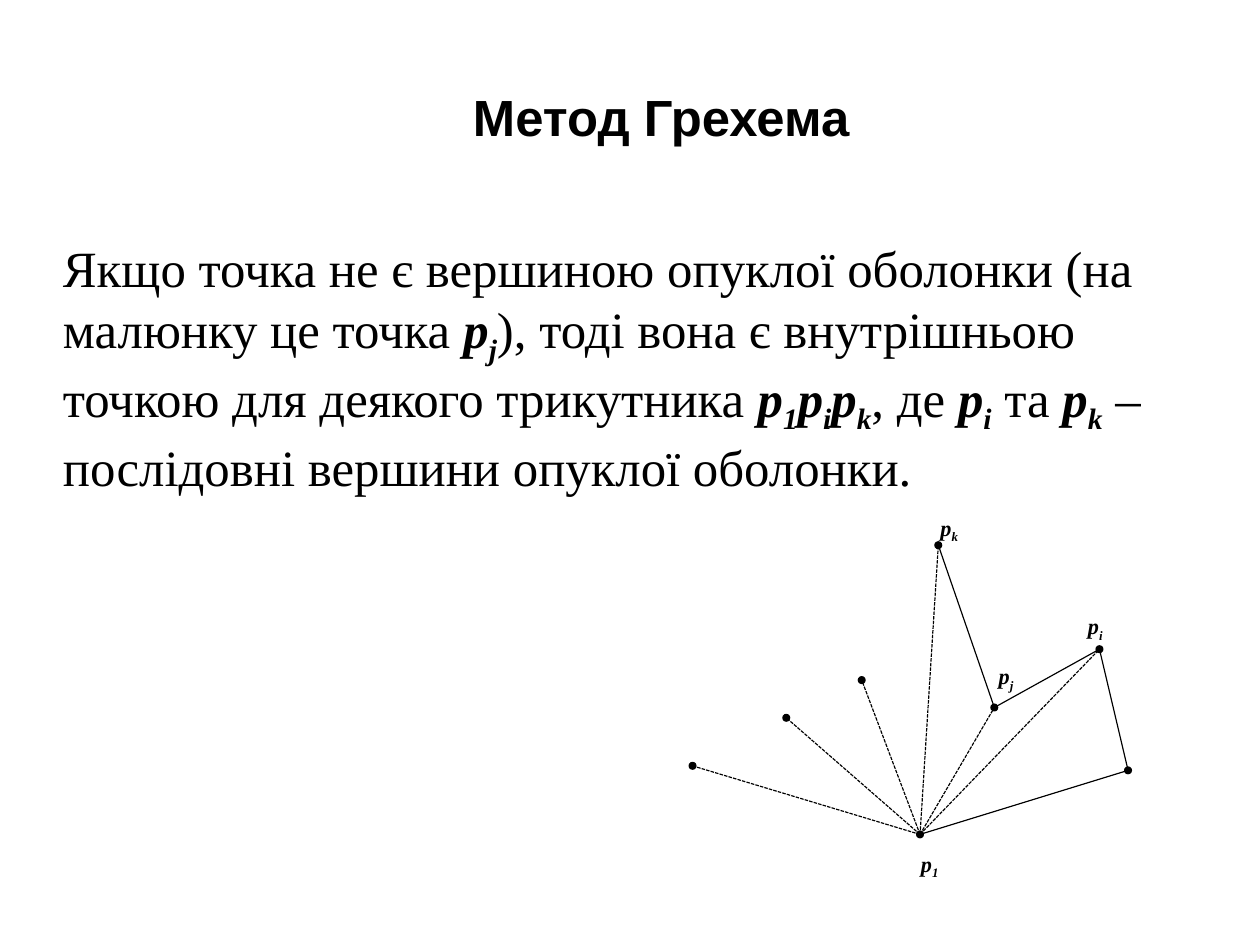
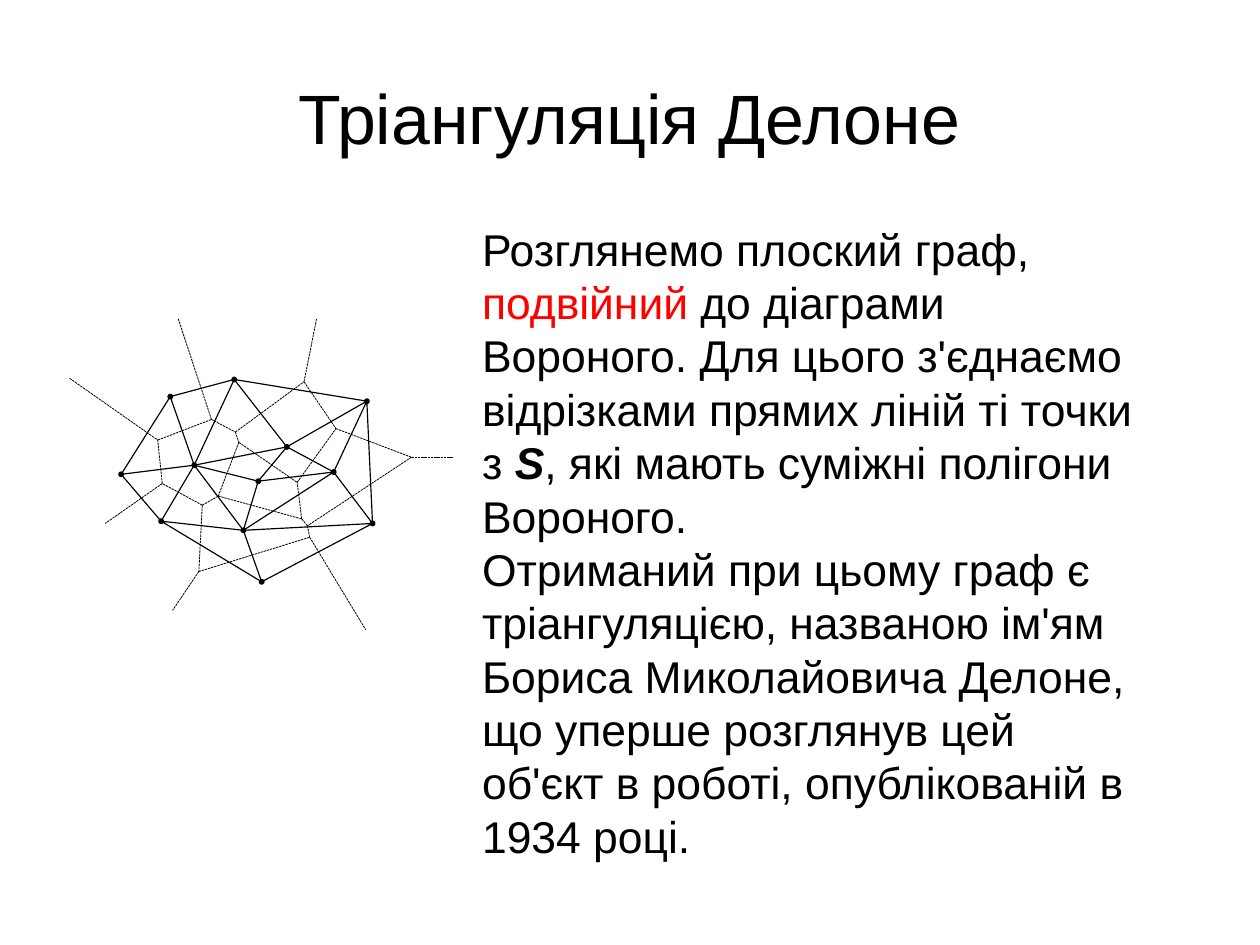
from dataclasses import dataclass
from itertools import pairwise

from lxml.etree import SubElement
from pptx import Presentation
from pptx.dml.color import RGBColor as RGB
from pptx.enum.dml import MSO_LINE_DASH_STYLE as Dash
from pptx.enum.shapes import MSO_CONNECTOR as Link, MSO_SHAPE as Shape
from pptx.enum.text import MSO_ANCHOR as Anchor, PP_ALIGN as Align
from pptx.oxml.ns import qn
from pptx.util import Emu, Pt

PX = 9144  # EMU per px, 100 px to the inch
PAGE = Emu(10080625), Emu(7559675)  # 28 by 21 cm page


@dataclass(frozen=True)
class Theme:
    ink: RGB = RGB(0, 0, 0)
    accent: RGB = RGB(255, 0, 0)
    sans: str = "Arial"
    serif: str = "Times New Roman"
    title: int = 44
    heading: int = 32
    body: int = 28
    label: int = 14
    stroke: float = 0.75
    hairline: float = 0.5


THEME = Theme()
VARIABLE = {"bold": True, "italic": True}


class Deck:
    """Holds the style and the current slide."""

    def __init__(self, page, theme):
        self.theme = theme
        self.show = Presentation()
        self.show.slide_width, self.show.slide_height = page

    def new_slide(self):
        self.slide = self.show.slides.add_slide(self.show.slide_layouts[6])

    def text(self, box, paragraphs, size, face, anchor=Anchor.TOP,
             align=Align.LEFT, insets=(10, 5)):
        """Each run is (text, format values, baseline shift in percent)."""
        frame = self.slide.shapes.add_textbox(*(v * PX for v in box)).text_frame
        across, down = (v * PX for v in insets)
        layout = {"word_wrap": True, "vertical_anchor": anchor,
                  "margin_left": across, "margin_right": across,
                  "margin_top": down, "margin_bottom": down}
        for key, value in layout.items():
            setattr(frame, key, value)
        for number, runs in enumerate(paragraphs):
            para = frame.add_paragraph() if number else frame.paragraphs[0]
            para.alignment = align
            for words, changes, shift in runs:
                run = para.add_run()
                run.text = words
                values = {"size": Pt(size), "name": face, **changes}
                run.font.color.rgb = values.pop("color", self.theme.ink)
                for key, value in values.items():
                    setattr(run.font, key, value)
                if shift:
                    run._r.get_or_add_rPr().set("baseline", str(shift * 1000))
        return frame

    def title(self, words, box, size, **changes):
        return self.text(box, [[(words, changes, 0)]], size, self.theme.sans,
                         Anchor.MIDDLE, Align.CENTER, (0, 0))

    def stroke(self, line, width):
        line.color.rgb = self.theme.ink
        line.width = Pt(width)

    def dot(self, center, size):
        x, y = center
        corner = (x - size // 2, y - size // 2)
        dot = self.slide.shapes.add_shape(
            Shape.OVAL, *(v * PX for v in (*corner, size, size)))
        dot.shadow.inherit = False
        dot.fill.solid()
        dot.fill.fore_color.rgb = self.theme.ink
        self.stroke(dot.line, self.theme.stroke)

    def line(self, start, end, width, dash=None):
        line = self.slide.shapes.add_connector(
            Link.STRAIGHT, *(v * PX for v in (*start, *end)))
        self.stroke(line.line, width)
        if dash:
            line.line.dash_style = dash
        SubElement(line._element.spPr, qn("a:effectLst"))

    def polyline(self, points):
        builder = self.slide.shapes.build_freeform(*points[0], scale=PX)
        builder.add_line_segments(points[1:], close=False)
        outline = builder.convert_to_shape()
        outline.shadow.inherit = False
        outline.fill.background()
        self.stroke(outline.line, self.theme.stroke)


def plain(words):
    return (words, {}, 0)


def variable(index, shift=-24):
    return [("p", VARIABLE, 0), (index, VARIABLE, shift)]


def graham_slide(deck):
    deck.new_slide()
    heading = deck.title("Метод Грехема", (55, 75, 992, 54), THEME.heading, bold=True)
    indents = heading.paragraphs[0]._p.get_or_add_pPr()
    indents.set("marL", str(80 * PX))
    indents.set("indent", str(-25 * PX))

    statement = [
        plain("Якщо точка не є вершиною опуклої оболонки (на малюнку це точка "),
        *variable("j"),
        plain("), тоді вона є внутрішньою точкою для деякого трикутника "),
        *variable("1"), *variable("i"), *variable("k"), plain(", де "),
        *variable("i"), plain(" та "), *variable("k"),
        plain(" – послідовні вершини опуклої оболонки."),
    ]
    deck.text((55, 207, 992, 509), [statement], THEME.heading, THEME.serif,
              insets=(0, 0))

    # Points, hull and rays from p1
    p1, right, pi, pj, pk = (805, 730), (987, 674), (962, 568), (870, 619), (821, 477)
    others = [(754, 595), (688, 628), (606, 670)]
    for point in (p1, right, pi, pj, pk, *others):
        deck.dot(point, 6)
    deck.polyline([p1, right, pi, pj, pk])
    for point in (pi, pj, pk, *others):
        deck.line(p1, point, THEME.stroke, Dash.SQUARE_DOT)

    # Point names
    labels = {"1": (796, 727), "i": (942, 519), "j": (864, 563), "k": (813, 433)}
    for index, corner in labels.items():
        deck.text((*corner, 82, 60), [variable(index, -25)], THEME.label,
                  THEME.serif, Anchor.MIDDLE)


def delaunay_slide(deck):
    deck.new_slide()
    deck.title("Тріангуляція Делоне", (55, 38, 992, 128), THEME.title)
    definition = [
        plain("Розглянемо плоский граф, "),
        ("подвійний", {"color": THEME.accent}, 0),
        plain(" до діаграми Вороного. Для цього з'єднаємо відрізками прямих "
              "ліній ті точки з "),
        ("S", VARIABLE, 0),
        plain(", які мають суміжні полігони Вороного."),
    ]
    history = [plain("Отриманий при цьому граф є тріангуляцією, названою ім'ям "
                     "Бориса Миколайовича Делоне, що уперше розглянув цей "
                     "об'єкт в роботі, опублікованій в 1934 році.")]
    deck.text((412, 189, 590, 529), [definition, history], THEME.body, THEME.sans)

    # Sites
    sites = {
        "A": (292, 413), "B": (213, 464), "C": (251, 391), "D": (106, 415),
        "E": (170, 407), "F": (149, 347), "G": (326, 458), "H": (229, 509),
        "I": (321, 351), "J": (141, 456), "K": (226, 421), "L": (205, 332),
    }
    for site in sites.values():
        deck.dot(site, 4)

    # Voronoi diagram: vertices a-o, ends of the open rays p-v
    vertices = {
        "a": (138, 385), "b": (185, 367), "c": (206, 378), "d": (266, 334),
        "e": (294, 375), "f": (360, 400), "g": (269, 460), "h": (264, 454),
        "i": (191, 434), "j": (260, 422), "k": (209, 387), "l": (177, 442),
        "m": (174, 500), "n": (142, 423), "o": (271, 470),
        "p": (61, 331), "q": (156, 279), "r": (277, 279), "s": (396, 400),
        "t": (320, 551), "u": (92, 458), "v": (151, 534),
    }
    for chain in ("pabcdr", "qb", "defs", "fgot", "ghilmv", "hje", "ckj", "ki",
                  "lna", "nu", "mo"):
        for start, end in pairwise(chain):
            deck.line(vertices[start], vertices[end], THEME.hairline,
                      Dash.SQUARE_DOT)

    # Delaunay triangulation
    for route in ("FLIGHJDEJBKACKELCIAGBA", "DFEBH"):
        deck.polyline([sites[name] for name in route])
    deck.line(sites["E"], sites["C"], THEME.stroke)


def main():
    deck = Deck(PAGE, THEME)
    graham_slide(deck)
    delaunay_slide(deck)
    deck.show.save("out.pptx")


if __name__ == "__main__":
    main()
